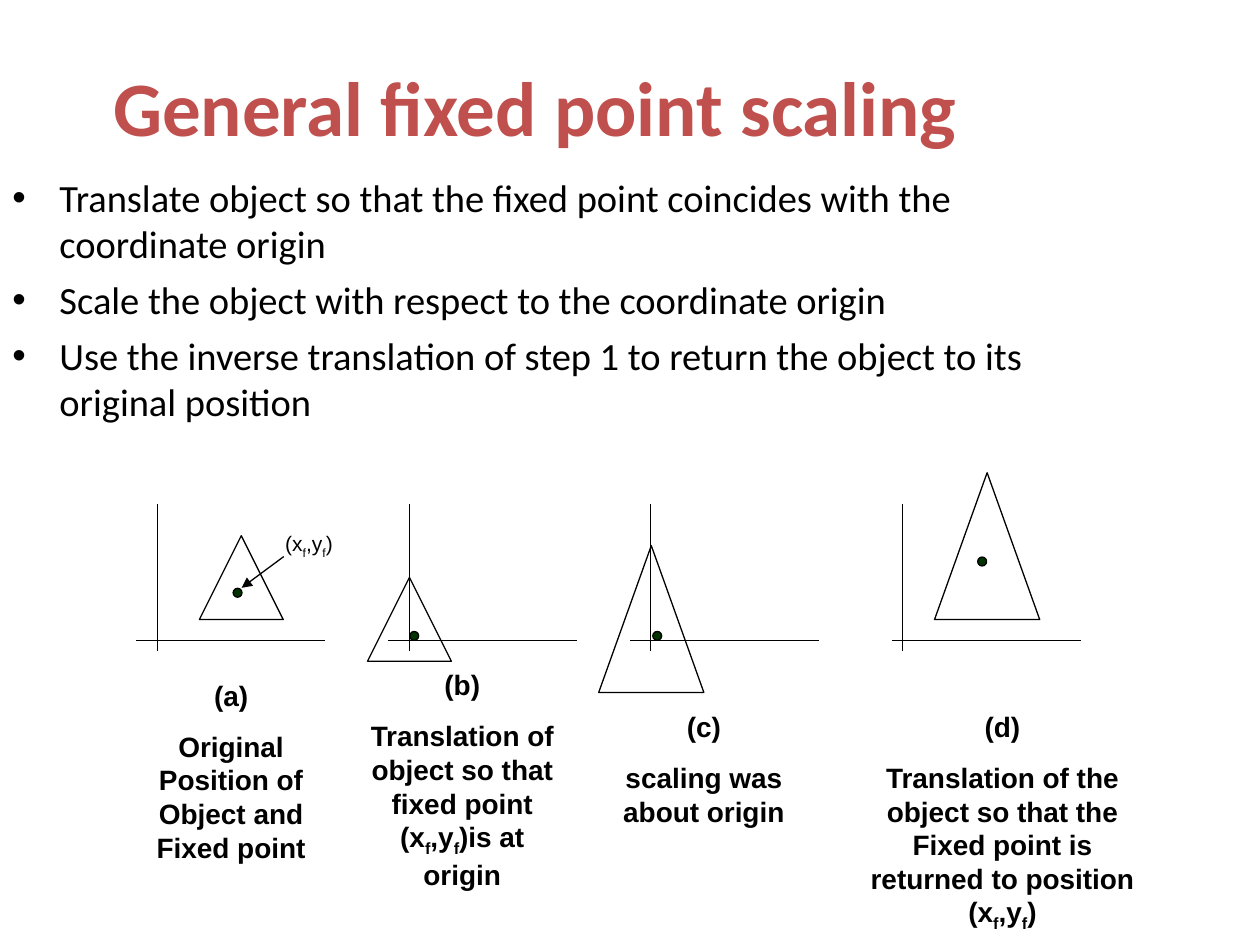
from lxml import etree
from pptx import Presentation
from pptx.dml.color import RGBColor
from pptx.enum.shapes import MSO_CONNECTOR, MSO_SHAPE
from pptx.enum.text import MSO_ANCHOR, MSO_AUTO_SIZE, PP_ALIGN
from pptx.oxml.ns import qn
from pptx.util import Cm, Pt

LINE = MSO_CONNECTOR.STRAIGHT
PEAK = MSO_SHAPE.ISOSCELES_TRIANGLE
DOT = MSO_SHAPE.FLOWCHART_CONNECTOR
LEFT, MID = PP_ALIGN.LEFT, PP_ALIGN.CENTER
FIT, FIXED = MSO_AUTO_SIZE.SHAPE_TO_FIT_TEXT, MSO_AUTO_SIZE.NONE
BASE = MSO_ANCHOR.BOTTOM

STEPS = [
    "Translate object so that the fixed point coincides with the coordinate origin",
    "Scale the object with respect to the coordinate origin",
    "Use the inverse translation of step 1 to return the object to its original position",
]

# Axis x, baseline x, triangle box, dot corner, caption box, caption lines
STAGES = [
    (3.18, 2.75, (4.02, 10.8, 1.69, 1.69), (4.7, 11.86),
     (2.33, 13.55, 4.66, 5.03),
     ["(a)", "Original Position of Object and Fixed point"]),
    (8.26, 7.83, (7.41, 11.64, 1.69, 1.69), (8.26, 12.73),
     (6.99, 13.34, 4.66, 4.78),
     ["(b)", "Translation of object so that fixed point (x_f,y_f)is at origin"]),
    (13.12, 12.7, (12.07, 11, 2.12, 2.96), (13.16, 12.73),
     (11.86, 14.18, 4.66, 2.64),
     ["(c)", "scaling was about origin"]),
    (18.2, 17.99, (18.84, 9.53, 2.12, 2.96), (19.71, 11.23),
     (16.93, 14.18, 6.56, 4.78),
     ["(d)", "Translation of the object so that the Fixed point is "
             "returned to position (x_f,y_f)"]),
]


def color(code):
    return RGBColor.from_string(code)


def cms(nums):
    return [Cm(n) for n in nums]


def add_bullet(para):
    props = para._p.get_or_add_pPr()
    props.set("marL", str(Cm(0.95)))
    props.set("indent", str(-Cm(0.95)))
    font = etree.SubElement(props, qn("a:buFont"))
    font.set("typeface", "Arial")
    mark = etree.SubElement(props, qn("a:buChar"))
    mark.set("char", "•")


def write(frame, lines, size=16, font="Arial", ink="000000", bold=False,
          align=LEFT, gap=0, bullet=False):
    """Fill a frame; an underscore lowers the one letter after it."""
    for i, line in enumerate(lines):
        para = frame.paragraphs[0] if i == 0 else frame.add_paragraph()
        if bullet:
            add_bullet(para)
        para.alignment = align
        para.space_before = Pt(gap if i else 0)
        head, *rest = line.split("_")
        parts = [(head, False)]
        for part in rest:
            parts += [(part[:1], True), (part[1:], False)]
        for text, low in parts:
            run = para.add_run()
            run.text = text
            run.font.size = Pt(size)
            run.font.name = font
            run.font.bold = bold
            run.font.color.rgb = color(ink)
            if low:
                run.font._element.set("baseline", "-25000")


class Board:
    ink = "000000"
    dot_fill = "003300"
    accent = "C0504D"
    width = 0.75

    def __init__(self, deck):
        self.slide = deck.slides.add_slide(deck.slide_layouts[5])
        self.shapes = self.slide.shapes

    def title(self, text, box):
        shape = self.shapes.title
        shape.left, shape.top, shape.width, shape.height = cms(box)
        frame = shape.text_frame
        frame.word_wrap = True
        frame.auto_size = FIXED
        frame.vertical_anchor = BASE
        write(frame, [text], size=44, font="Calibri", ink=self.accent,
              bold=True, align=MID)

    def text(self, lines, box, fit=FIT, **style):
        frame = self.shapes.add_textbox(*cms(box)).text_frame
        frame.word_wrap = True
        frame.auto_size = fit
        write(frame, lines, **style)

    def stroke(self, line):
        line.color.rgb = color(self.ink)
        line.width = Pt(self.width)

    def line(self, *ends, arrow=False):
        link = self.shapes.add_connector(LINE, *cms(ends))
        self.stroke(link.line)
        props = link._element.spPr
        if arrow:
            tip = etree.SubElement(link.line._get_or_add_ln(), qn("a:tailEnd"))
            tip.set("type", "triangle")
        etree.SubElement(props, qn("a:effectLst"))

    def shape(self, kind, box, fill=None):
        item = self.shapes.add_shape(kind, *cms(box))
        item.shadow.inherit = False
        self.stroke(item.line)
        if fill:
            item.fill.solid()
            item.fill.fore_color.rgb = color(fill)
        else:
            item.fill.background()

    def graph(self, axis, base, peak, dot):
        self.line(axis, 10.16, axis, 13.12)
        self.line(base, 12.91, base + 3.81, 12.91)
        self.shape(PEAK, peak)
        self.shape(DOT, (*dot, 0.18, 0.18), self.dot_fill)


def main():
    deck = Presentation()
    deck.slide_width, deck.slide_height = Cm(25.4), Cm(19.05)
    board = Board(deck)
    board.title("General fixed point scaling", (0, 0, 21.59, 3.18))
    board.text(STEPS, (0, 3.39, 21.59, 11.43), fit=FIXED, size=22,
               font="Calibri", gap=5.5, bullet=True)
    for axis, base, peak, dot, box, lines in STAGES:
        board.graph(axis, base, peak, dot)
        board.text(lines, box, bold=True, align=MID, gap=10)
    board.text(["(x_f,y_f)"], (5.5, 10.58, 2.33, 0.85), size=12)
    board.line(5.72, 11.22, 4.87, 11.85, arrow=True)
    deck.save("out.pptx")


if __name__ == "__main__":
    main()
